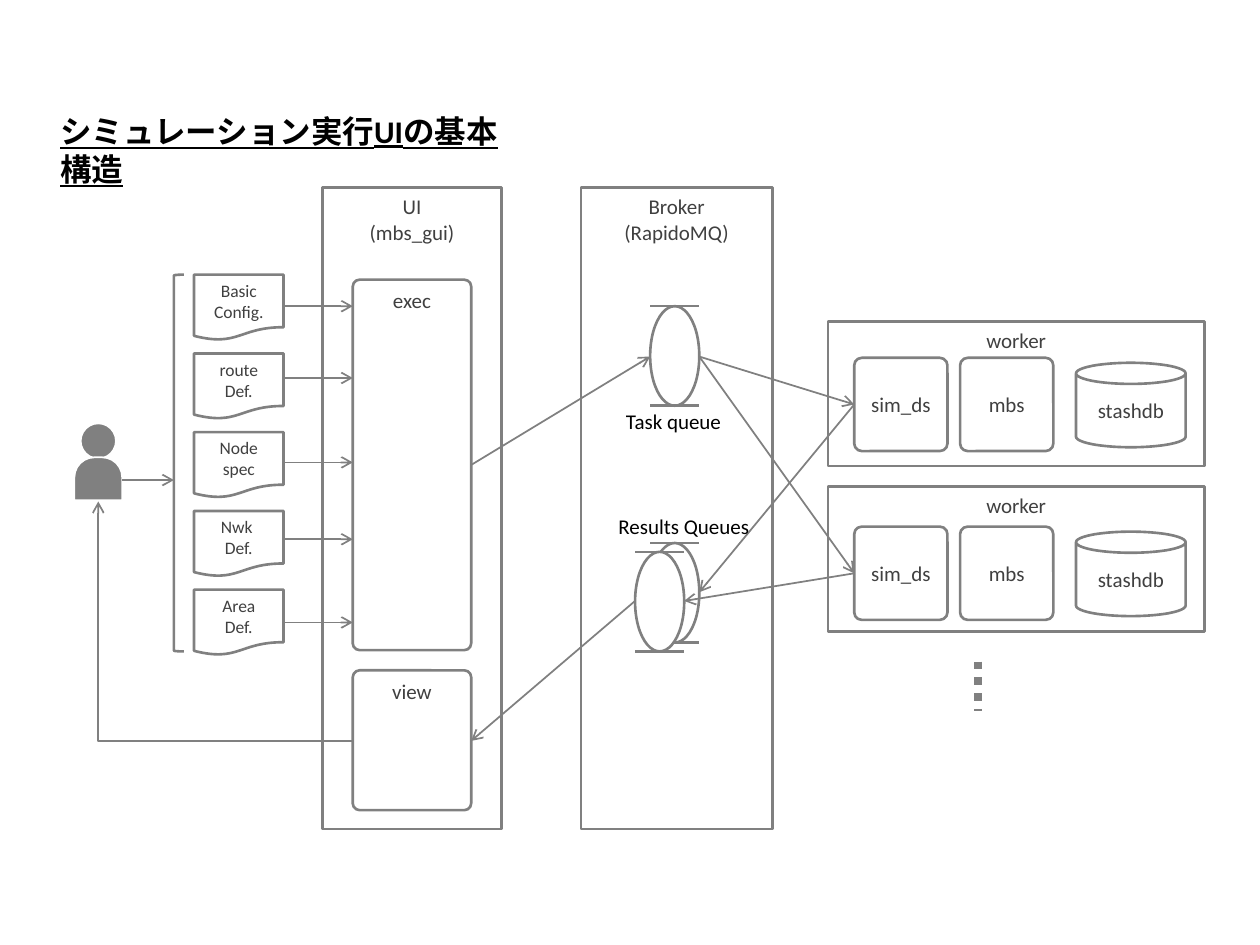
from pptx import Presentation
from pptx.dml.color import RGBColor
from pptx.enum.dml import MSO_LINE
from pptx.enum.shapes import MSO_CONNECTOR, MSO_SHAPE
from pptx.enum.text import MSO_ANCHOR, PP_ALIGN
from pptx.oxml.ns import qn
from pptx.util import Inches, Pt
from lxml.etree import SubElement

THEME = {
    "font": "Calibri",
    "gray": RGBColor(0x80, 0x80, 0x80),
    "text": RGBColor(0x40, 0x40, 0x40),
    "black": RGBColor(0, 0, 0),
    "white": RGBColor(255, 255, 255),
    "title": 18,
    "body": 12,
    "small": 10,
    "outline": 1.5,
    "arrow": 1,
    "dots": 4.5,
}

presentation = Presentation()
presentation.slide_width = Inches(10)
presentation.slide_height = Inches(7.5)
slide = presentation.slides.add_slide(presentation.slide_layouts[6])


def add_box(kind, left, top, width, height, lines=(), size="body",
            anchor=MSO_ANCHOR.MIDDLE, corner=None, solid=False):
    """Add an outlined shape, or a solid gray one, with centred lines of text."""
    shape = slide.shapes.add_shape(
        kind, Inches(left), Inches(top), Inches(width), Inches(height))
    shape.shadow.inherit = False
    shape.fill.solid()
    shape.fill.fore_color.rgb = THEME["gray" if solid else "white"]
    shape.line.color.rgb = THEME["white" if solid else "gray"]
    shape.line.width = Pt(THEME["arrow" if solid else "outline"])
    if corner is not None:
        shape.adjustments[0] = corner
    frame = shape.text_frame
    frame.word_wrap = True
    frame.vertical_anchor = anchor
    for index, line in enumerate(lines):
        paragraph = frame.add_paragraph() if index else frame.paragraphs[0]
        paragraph.alignment = PP_ALIGN.CENTER
        run = paragraph.add_run()
        run.text = line
        run.font.name = THEME["font"]
        run.font.size = Pt(THEME[size])
        run.font.color.rgb = THEME["text"]


def add_line(start, end, width="arrow", arrow=True, kind=MSO_CONNECTOR.STRAIGHT):
    """Add a gray connector, by default with an open arrowhead at its end."""
    connector = slide.shapes.add_connector(
        kind, *[Inches(value) for value in (*start, *end)])
    connector.line.color.rgb = THEME["gray"]
    connector.line.width = Pt(THEME[width])
    if arrow:
        SubElement(connector.line._get_or_add_ln(), qn("a:tailEnd"), type="arrow")
    SubElement(connector._element.spPr, qn("a:effectLst"))
    return connector


# Broker and UI panels
panels = [
    (4.61, 1.52, ["Broker", "(RapidoMQ)"]),
    (2.56, 1.42, ["UI", "(mbs_gui)"]),
]
for left, width, lines in panels:
    add_box(MSO_SHAPE.RECTANGLE, left, 1.49, width, 5.09, lines, anchor=MSO_ANCHOR.TOP)
for label, top, height in [("exec", 2.22, 2.94), ("view", 5.32, 1.11)]:
    add_box(MSO_SHAPE.ROUNDED_RECTANGLE, 2.8, top, 0.94, height, [label],
            anchor=MSO_ANCHOR.TOP, corner=0.058)

# User
add_box(MSO_SHAPE.OVAL, 0.64, 3.36, 0.28, 0.28, solid=True)
add_box(MSO_SHAPE.ROUND_2_SAME_RECTANGLE, 0.59, 3.63, 0.38, 0.34, corner=0.467, solid=True)

# Input documents
add_box(MSO_SHAPE.LEFT_BRACKET, 1.38, 2.18, 0.08, 2.99)
documents = [
    (["Basic", "Config."], 2.43),
    (["route", "Def."], 3),
    (["Node spec"], 3.67),
    (["Nwk ", "Def."], 4.28),
    (["Area", "Def."], 4.94),
]
for index, (lines, arrow_y) in enumerate(documents):
    add_box(MSO_SHAPE.FLOWCHART_DOCUMENT, 1.54, 2.18 + 0.625 * index, 0.71, 0.52,
            lines, size="small")
    add_line((2.24, arrow_y), (2.8, arrow_y))

# Queues
for left, top in [(5.16, 2.43), (5.16, 4.31), (5.04, 4.38)]:
    add_box(MSO_SHAPE.OVAL, left, top, 0.39, 0.79)
    for y in (top, top + 0.79):
        add_line((left, y), (left + 0.39, y), width="outline", arrow=False)

# Workers
for top, inner_top in [(2.55, 2.84), (3.86, 4.18)]:
    add_box(MSO_SHAPE.RECTANGLE, 6.57, top, 2.99, 1.15, ["worker"], anchor=MSO_ANCHOR.TOP)
    for left, label in [(6.78, "sim_ds"), (7.62, "mbs")]:
        add_box(MSO_SHAPE.ROUNDED_RECTANGLE, left, inner_top, 0.74, 0.74, [label],
                corner=0.081)
    add_box(MSO_SHAPE.CAN, 8.54, inner_top + 0.04, 0.87, 0.67, ["stashdb"])
more_workers = add_line((7.76, 5.25), (7.76, 5.64), width="dots", arrow=False)
more_workers.line.dash_style = MSO_LINE.ROUND_DOT

# Message flow
flows = [
    ((0.97, 3.81), (1.38, 3.81)),
    ((3.74, 3.69), (5.16, 2.83)),
    ((5.55, 2.83), (6.78, 3.21)),
    ((5.55, 2.83), (6.78, 4.55)),
    ((6.78, 3.21), (5.55, 4.7)),
    ((6.78, 4.55), (5.43, 4.77)),
    ((5.04, 4.77), (3.74, 5.88)),
]
for start, end in flows:
    add_line(start, end)

# The half turn makes the elbow run left from the view box, then up to the user
feedback = add_line((0.78, 3.98), (2.8, 5.88), kind=MSO_CONNECTOR.ELBOW)
properties = feedback._element.spPr
properties.find(qn("a:xfrm")).set("rot", "10800000")
properties.find(qn("a:prstGeom")).set("prst", "bentConnector2")

# Title and queue labels
labels = [
    ("シミュレーション実行UIの基本構造", 0.38, 0.84, 3.72, 0.4, "title"),
    ("Task queue", 4.87, 3.19, 0.97, 0.3, "body"),
    ("Results Queues", 4.81, 4.03, 1.25, 0.3, "body"),
]
for text, left, top, width, height, size in labels:
    is_title = size == "title"
    text_box = slide.shapes.add_textbox(
        Inches(left), Inches(top), Inches(width), Inches(height))
    text_box.text_frame.word_wrap = is_title
    run = text_box.text_frame.paragraphs[0].add_run()
    run.text = text
    run.font.name = THEME["font"]
    run.font.size = Pt(THEME[size])
    run.font.color.rgb = THEME["black"]
    run.font.bold = is_title
    run.font.underline = is_title

presentation.save("out.pptx")
